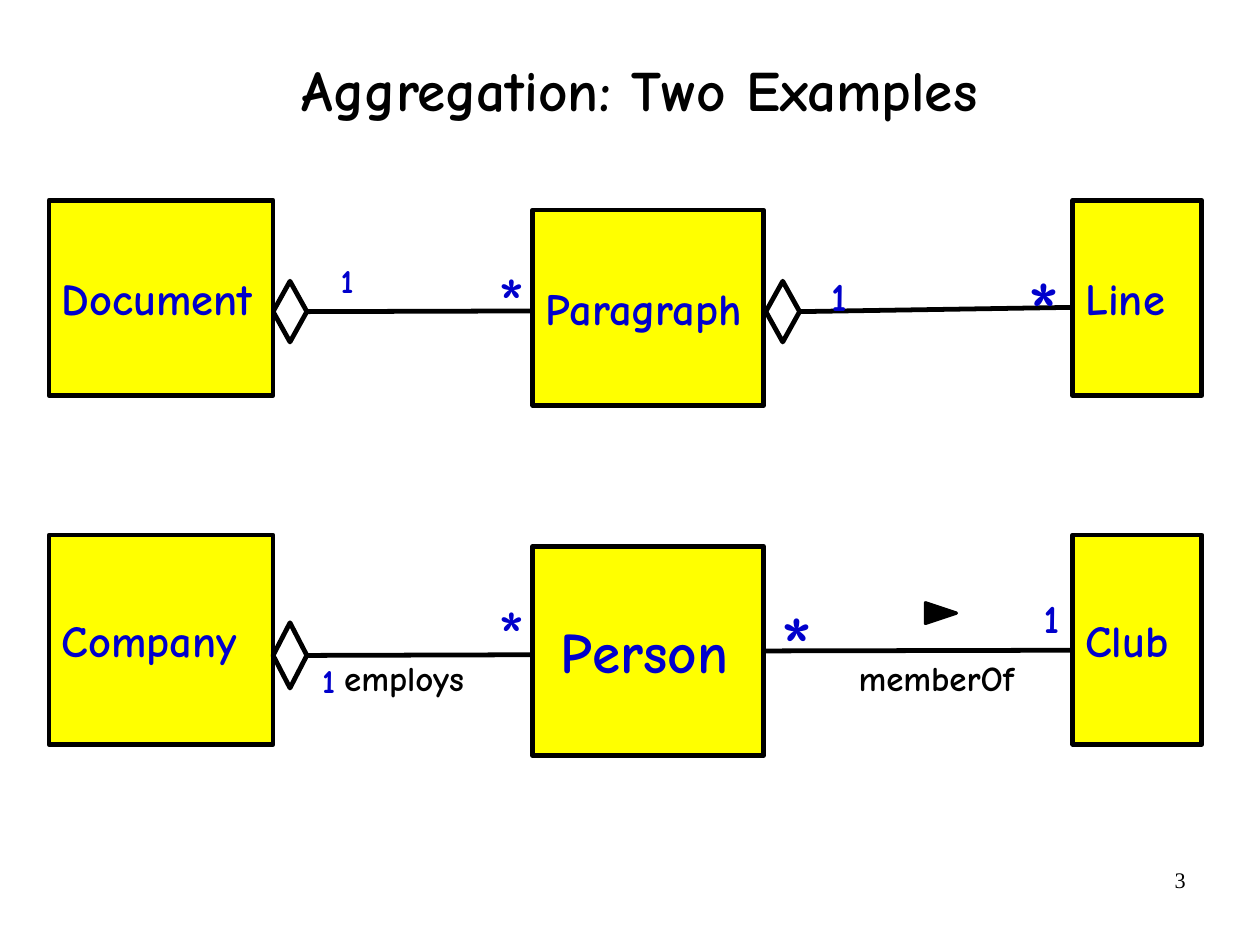
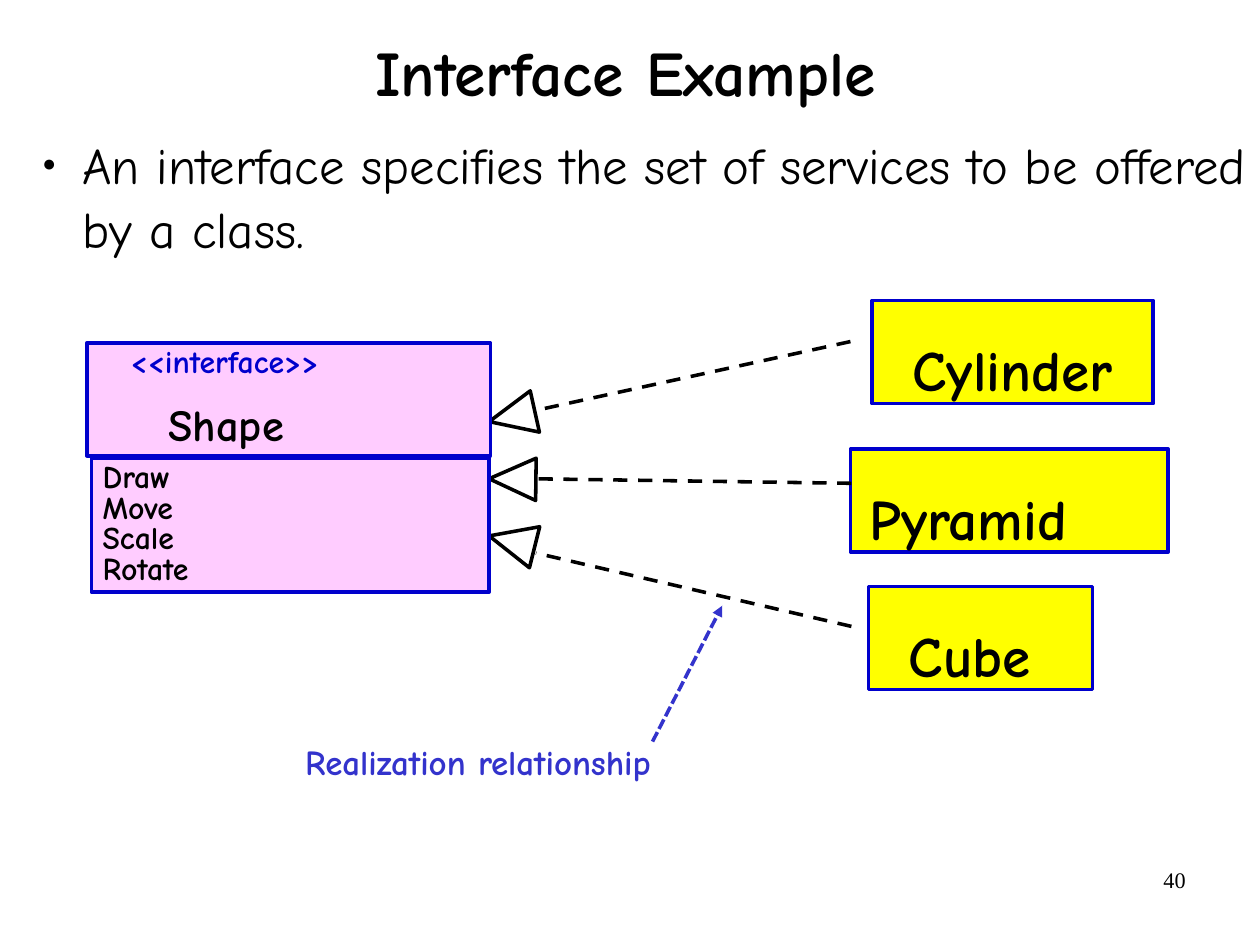
from math import atan2, cos, sin

from lxml.etree import SubElement
from pptx import Presentation
from pptx.dml.color import RGBColor
from pptx.enum.dml import MSO_LINE
from pptx.enum.shapes import MSO_CONNECTOR, MSO_SHAPE
from pptx.enum.text import MSO_ANCHOR, MSO_AUTO_SIZE, PP_ALIGN
from pptx.oxml.ns import qn
from pptx.util import Cm, Pt

FONT = "Comic Neue"
NUMBER_FONT = "Times New Roman"
BLACK = "000000"
WHITE = "FFFFFF"
YELLOW = "FFFF00"
PINK = "FFCCFF"
BLUE = "0000CC"
NOTE_BLUE = "3333CC"
RIGHT_SIDE = 3
CLASS_COLUMNS = [(0, 4.98), (10.75, 5.13), (22.75, 2.87)]
DIAMOND_WIDTH = 0.75


def color(value):
    return RGBColor.from_string(value)


def set_frame(shape, insets=(0, 0, 0, 0), anchor=MSO_ANCHOR.TOP, wrap=True):
    frame = shape.text_frame
    frame.auto_size = MSO_AUTO_SIZE.NONE
    frame.word_wrap = wrap
    frame.vertical_anchor = anchor
    frame.margin_left, frame.margin_top, frame.margin_right, frame.margin_bottom = map(Cm, insets)
    return frame


def add_text(para, text, size, fill=BLACK, bold=True, font=FONT, align=PP_ALIGN.LEFT, spacing=1.0):
    para.alignment = align
    para.line_spacing = spacing
    para.space_before = Pt(0)
    span = para.add_run()
    span.text = text
    span.font.name = font
    span.font.size = Pt(size)
    span.font.bold = bold
    span.font.color.rgb = color(fill)


def place(shape, left, top, width, height):
    shape.left, shape.top, shape.width, shape.height = map(Cm, (left, top, width, height))


def add_box(page, kind, left, top, width, height, fill, line, weight):
    box = page.shapes.add_shape(kind, Cm(left), Cm(top), Cm(width), Cm(height))
    box.shadow.inherit = False
    if fill:
        box.fill.solid()
        box.fill.fore_color.rgb = color(fill)
    else:
        box.fill.background()
    box.line.color.rgb = color(line)
    box.line.width = Pt(weight)
    return box


def add_label(page, left, top, width, height, text, size, fill=BLACK, insets=(0, 0, 0, 0),
              wrap=False, **style):
    label = page.shapes.add_textbox(Cm(left), Cm(top), Cm(width), Cm(height))
    frame = set_frame(label, insets, wrap=wrap)
    add_text(frame.paragraphs[0], text, size, fill, **style)
    return label


def add_line(page, start, end, line=BLACK, weight=3.0, dash=None, arrow=False):
    connector = page.shapes.add_connector(
        MSO_CONNECTOR.STRAIGHT, *map(Cm, start), *map(Cm, end))
    connector.line.color.rgb = color(line)
    connector.line.width = Pt(weight)
    if dash:
        connector.line.dash_style = dash
    properties = connector._element.spPr
    if arrow:
        SubElement(properties.find(qn("a:ln")), qn("a:tailEnd"), type="triangle")
    SubElement(properties, qn("a:effectLst"))
    return connector


def add_page(deck, layout, title, size, spacing, title_box, number):
    page = deck.slides.add_slide(deck.slide_layouts[layout])
    place(page.shapes.title, *title_box)
    frame = set_frame(page.shapes.title, anchor=MSO_ANCHOR.MIDDLE)
    add_text(frame.paragraphs[0], title, size, align=PP_ALIGN.CENTER, spacing=spacing)
    add_label(page, 20.07, 19.13, 6.53, 1.45, number, 14, insets=(0.25, 0.13, 0.25, 0.13),
              wrap=True, bold=False, font=NUMBER_FONT, align=PP_ALIGN.RIGHT)
    return page


def add_class_row(page, left, top, height, drop, classes):
    boxes = []
    for (offset, width), (name, size, inset) in zip(CLASS_COLUMNS, classes):
        shift = drop if offset == CLASS_COLUMNS[1][0] else 0
        box = add_box(page, MSO_SHAPE.RECTANGLE, left + offset, top + shift, width, height,
                      YELLOW, BLACK, 3)
        frame = set_frame(box, (inset, 0.15, 0.2, 0.15), MSO_ANCHOR.MIDDLE)
        add_text(frame.paragraphs[0], name, size, BLUE)
        boxes.append(box)
    return boxes


def add_aggregation(page, left, top, height, end):
    diamond = add_box(page, MSO_SHAPE.FLOWCHART_DECISION, left, top, DIAMOND_WIDTH, height,
                      None, BLACK, 3)
    link = add_line(page, (left + DIAMOND_WIDTH, top + height / 2), end)
    link.begin_connect(diamond, RIGHT_SIDE)


def add_multiplicities(page, left, top, items):
    for offset, drop, text, size in items:
        add_label(page, left + offset, top + drop, size * 0.0145, size * 0.0423, text, size,
                  BLUE, bold=text != "*")


def add_captions(page, left, top, items):
    for offset, width, text in items:
        caption = add_box(page, MSO_SHAPE.RECTANGLE, left + offset, top, width, 1.22,
                          None, WHITE, 2.25)
        frame = set_frame(caption, (0.28, 0.15, 0.28, 0.15), wrap=False)
        add_text(frame.paragraphs[0], text, 22)


def add_document_row(page, left, top):
    add_class_row(page, left, top, 4.34, 0.22,
                  [("Document", 28, 0.28), ("Paragraph", 28, 0.28), ("Line", 28, 0.28)])
    add_aggregation(page, left + 4.98, top + 1.8, 1.35, (left + 10.75, top + 2.46))
    add_aggregation(page, left + 15.93, top + 1.8, 1.35, (left + 22.75, top + 2.38))
    add_multiplicities(page, left, top, [
        (6.48, 1.34, "1", 21), (9.96, 1.28, "*", 46),
        (17.38, 1.6, "1", 25), (21.72, 1.25, "*", 56)])


def add_company_row(page, left, top):
    add_captions(page, left, top + 2.56, [(6.28, 3.23, "employs"), (17.71, 4.01, "memberOf")])
    person = add_class_row(page, left, top, 4.65, 0.25, [
        ("Company", 28, 0.28), ("Person", 36, 0.62), ("Club", 28, 0.28)])[1]
    add_aggregation(page, left + 4.98, top + 1.95, 1.45, (left + 10.75, top + 2.66))
    member = add_line(page, (left + 15.88, top + 2.58), (left + 22.75, top + 2.56))
    member.begin_connect(person, RIGHT_SIDE)
    add_multiplicities(page, left, top, [
        (6.07, 2.79, "1", 21), (9.96, 1.23, "*", 46),
        (22.1, 1.3, "1", 25), (16.23, 1.25, "*", 56)])
    reading = add_box(page, MSO_SHAPE.ISOSCELES_TRIANGLE, left + 19.59, top + 1.39, 0.46, 0.69,
                      BLACK, BLACK, 2)
    reading.rotation = 90


def add_definition(page, left, top, width, height, text):
    body = page.placeholders[1]
    place(body, left, top, width, height)
    para = set_frame(body).paragraphs[0]
    properties = para._p.get_or_add_pPr()
    properties.set("marL", str(Cm(1.17)))
    properties.set("indent", str(Cm(-0.89)))
    SubElement(SubElement(properties, qn("a:buClr")), qn("a:srgbClr"), val=BLACK)
    SubElement(properties, qn("a:buSzPct"), val="45000")
    SubElement(properties, qn("a:buChar"), char="●")
    add_text(para, text, 32, bold=False, spacing=1.05)


def add_interface(page, left, top):
    methods = add_box(page, MSO_SHAPE.RECTANGLE, left + 0.1, top + 2.57, 8.84, 2.97,
                      PINK, BLUE, 2.25)
    frame = set_frame(methods, (0.25, 0.13, 0.25, 0.13))
    for index, name in enumerate(["Draw", "Move", "Scale", "Rotate"]):
        para = frame.add_paragraph() if index else frame.paragraphs[0]
        add_text(para, name, 20, spacing=0.8)
    header = add_box(page, MSO_SHAPE.RECTANGLE, left, top, 8.97, 2.51, PINK, BLUE, 2.25)
    frame = set_frame(header, (0.25, 0.13, 0.25, 0.13))
    stereotype, name = frame.paragraphs[0], frame.add_paragraph()
    add_text(stereotype, "<<interface>>", 20, BLUE, spacing=0.8)
    add_text(name, "Shape", 28, spacing=0.8)
    name.space_before = Pt(17.5)
    for para, indent in ((stereotype, 0.72), (name, 1.57)):
        para._p.get_or_add_pPr().set("marL", str(Cm(indent)))


def add_solids(page, left, top):
    for offset, drop, width, inset, name in [
            (0.48, 0, 6.25, 0.9, "Cylinder"),
            (0, 3.3, 7.06, 0.43, "Pyramid"),
            (0.4, 6.35, 4.98, 0.9, "Cube")]:
        box = add_box(page, MSO_SHAPE.RECTANGLE, left + offset, top + drop, width, 2.29,
                      YELLOW, BLUE, 2.25)
        frame = set_frame(box, (inset, 0, 0, 0))
        add_text(frame.paragraphs[0], name, 36, spacing=1.5)


def add_realization(page, start, end, tip, length=1.04, half=0.47):
    add_line(page, start, end, weight=2.25, dash=MSO_LINE.DASH)
    angle = atan2(start[1] - tip[1], start[0] - tip[0])
    base_x = tip[0] + length * cos(angle)
    base_y = tip[1] + length * sin(angle)
    corners = [(base_x - side * half * sin(angle), base_y + side * half * cos(angle))
               for side in (1, -1)]
    builder = page.shapes.build_freeform(Cm(tip[0]), Cm(tip[1]))
    builder.add_line_segments([(Cm(x), Cm(y)) for x, y in corners], close=True)
    head = builder.convert_to_shape()
    head.shadow.inherit = False
    head.fill.background()
    head.line.color.rgb = color(BLACK)
    head.line.width = Pt(2.25)


def add_realizations(page, left, top):
    for start_x, start_y, end_y, tip_y in [
            (8.03, 0, 1.53, 1.78), (8.05, 3.15, 3.05, 3.05), (8.05, 6.33, 4.7, 4.32)]:
        add_realization(page, (left + start_x, top + start_y), (left + 1.04, top + end_y),
                        (left, top + tip_y))


def add_note(page, left, top):
    add_label(page, left, top, 10.67, 1.07, "Realization relationship", 22, NOTE_BLUE,
              insets=(0.33, 0.15, 0.33, 0.15), wrap=True, spacing=0.8)
    add_line(page, (left + 8.05, top), (left + 9.6, top - 3.02), NOTE_BLUE, 2.25,
             MSO_LINE.SQUARE_DOT, arrow=True)


def build_aggregation_page(deck):
    page = add_page(deck, 5, "Aggregation: Two Examples", 36, 0.94, (0.88, -0.23, 26.67, 4.57), "3")
    add_document_row(page, 1.09, 4.45)
    add_company_row(page, 1.09, 11.89)


def build_interface_page(deck):
    page = add_page(deck, 1, "Interface Example", 40, 0.88, (0, 0.61, 27.79, 2.18), "40")
    add_definition(page, 0.66, 2.9, 27.36, 6.35,
                   "An interface specifies the set of services to be offered by a class.")
    add_solids(page, 18.9, 6.68)
    add_realizations(page, 10.87, 7.59)
    add_interface(page, 1.93, 7.62)
    add_note(page, 6.45, 16.48)


def main():
    deck = Presentation()
    deck.slide_width, deck.slide_height = Cm(28), Cm(21)
    build_aggregation_page(deck)
    build_interface_page(deck)
    deck.save("out.pptx")


if __name__ == "__main__":
    main()
